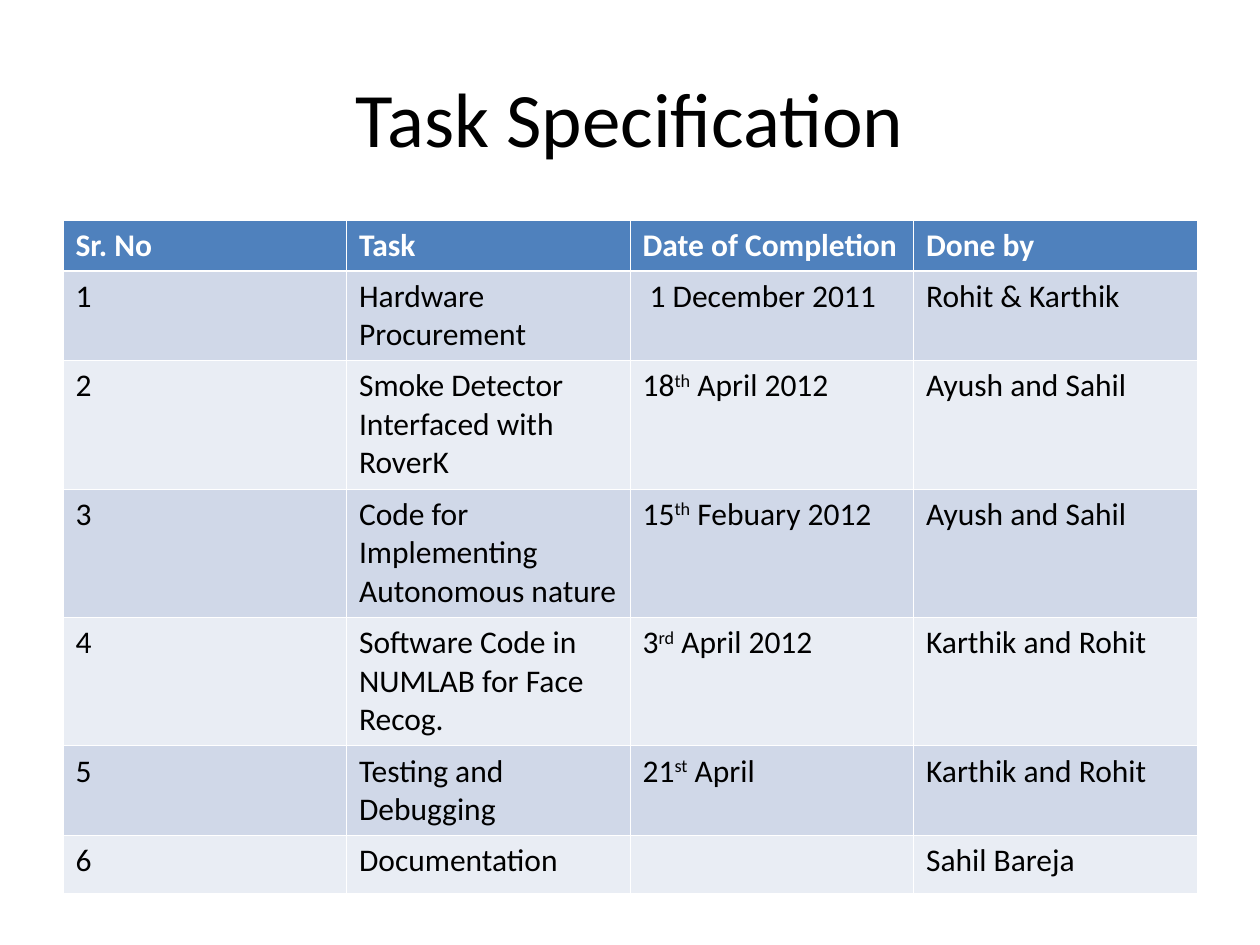
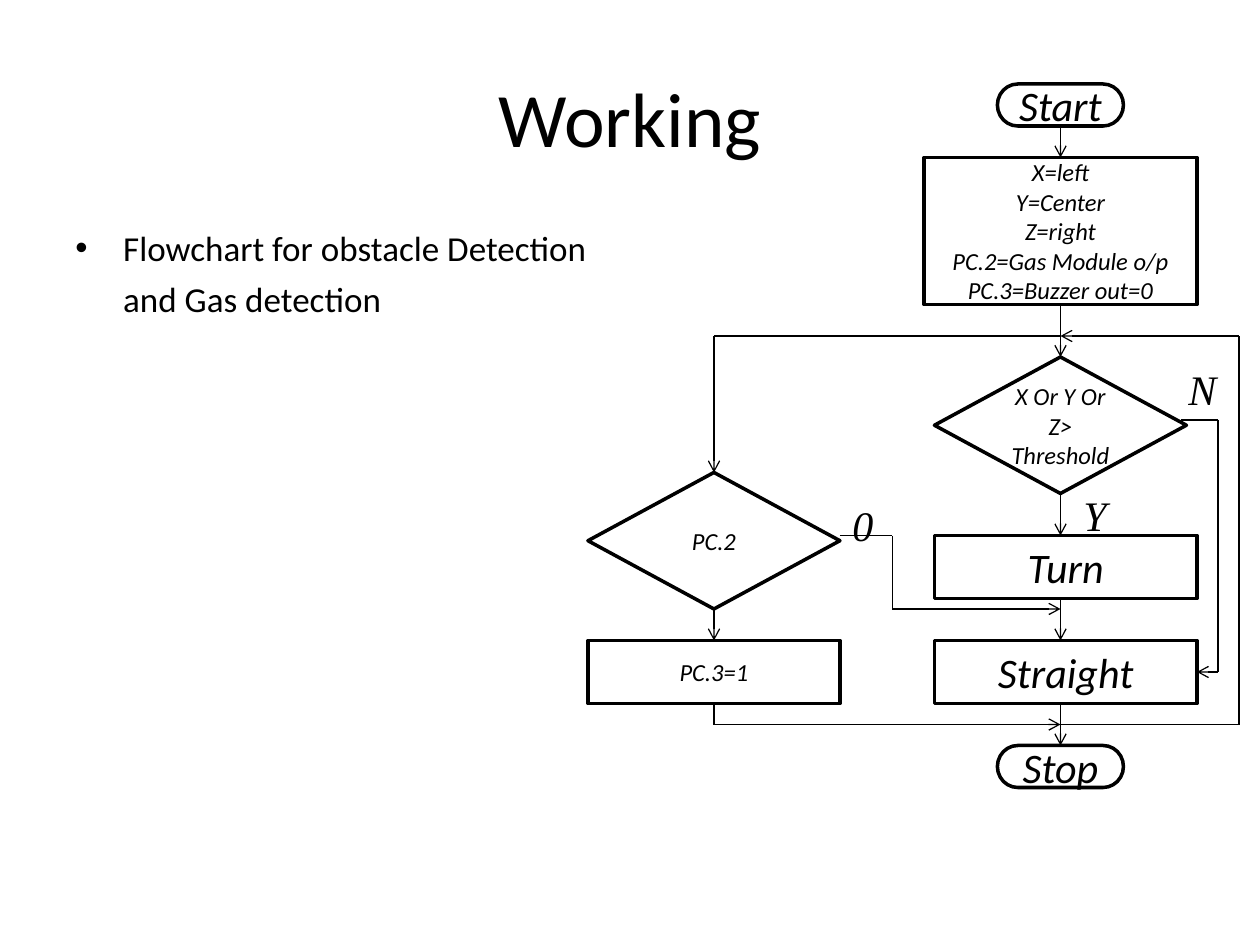
import pptx
import pptx.util
import pptx.dml.color
import pptx.enum.shapes
import pptx.enum.text
import pptx.oxml
import pptx.oxml.ns

RGB = pptx.dml.color.RGBColor
SHAPE = pptx.enum.shapes.MSO_SHAPE
ALIGN = pptx.enum.text.PP_ALIGN
ANCHOR = pptx.enum.text.MSO_ANCHOR
Inches, Pt = pptx.util.Inches, pptx.util.Pt

BLACK = RGB(0x00, 0x00, 0x00)
WHITE = RGB(0xFF, 0xFF, 0xFF)
BLUE = RGB(0x4F, 0x81, 0xBD)
BANDS = RGB(0xE9, 0xED, 0xF4), RGB(0xD0, 0xD8, 0xE8)
SANS, SERIF = "Calibri", "Times New Roman"

WIDE, HIGH = 10, 7.5
EDGE = 0.05 * WIDE
SPAN = WIDE - 2 * EDGE
BODY = 1.75
UNIT = 1 / 12  # flowchart grid step in inches

# Text between ^ marks is raised
TASKS = [
    ("Sr. No", "Task", "Date of Completion", "Done by"),
    ("1", "Hardware Procurement", " 1 December 2011", "Rohit & Karthik"),
    ("2", "Smoke Detector Interfaced with RoverK", "18^th^ April 2012", "Ayush and Sahil"),
    ("3", "Code for Implementing Autonomous nature", "15^th^ Febuary 2012", "Ayush and Sahil"),
    ("4", "Software Code in NUMLAB for Face Recog.", "3^rd^ April 2012", "Karthik and Rohit"),
    ("5", "Testing and Debugging", "21^st^ April", "Karthik and Rohit"),
    ("6", "Documentation", "", "Sahil Bareja"),
]
ROWS = [0.4, 0.71, 1.02, 1.02, 1.02, 0.71, 0.46]

POINTS = ["Flowchart for obstacle Detection", "and Gas detection"]

END, BOX, TEST = (SHAPE.FLOWCHART_TERMINATOR, SHAPE.RECTANGLE,
                  SHAPE.FLOWCHART_DECISION)

# Kind, (left, top, width, height) in grid steps, text size, lines
STEPS = [
    (END, (95, 8, 12, 4), 24, ["Start"]),
    (BOX, (88, 15, 26, 14), 14, ["X=left", "Y=Center", "Z=right",
                                 "PC.2=Gas Module o/p", "PC.3=Buzzer out=0"]),
    (TEST, (89, 34, 24, 13), 14, ["X Or Y Or", "Z> Threshold"]),
    (BOX, (89, 51, 25, 6), 24, ["Turn"]),
    (BOX, (89, 61, 25, 6), 24, ["Straight"]),
    (END, (95, 71, 12, 4), 24, ["Stop"]),
    (TEST, (56, 45, 24, 13), 14, ["PC.2"]),
    (BOX, (56, 61, 24, 6), 14, ["PC.3=1"]),
]

# Corner points in grid steps; each route ends in an arrowhead
MAIN, GAS, SKIP, LOOP, BYPASS = 101, 68, 116, 118, 85
ROUTES = [
    [(MAIN, 12), (MAIN, 15)],
    [(MAIN, 29), (MAIN, 34)],
    [(MAIN, 47), (MAIN, 51)],
    [(MAIN, 57), (MAIN, 61)],
    [(MAIN, 67), (MAIN, 71)],
    [(GAS, 58), (GAS, 61)],
    [(112.5, 40), (SKIP, 40), (SKIP, 64), (114, 64)],
    [(MAIN, 69), (LOOP, 69), (LOOP, 32), (MAIN, 32)],
    [(MAIN, 32), (GAS, 32), (GAS, 45)],
    [(80, 51), (BYPASS, 51), (BYPASS, 58), (MAIN, 58)],
    [(GAS, 67), (GAS, 69), (MAIN, 69)],
]
LABELS = [("Y", 102, 46), ("N", 112, 34), ("0", 80, 47)]


def steps(*nums):
    return [Inches(n * UNIT) for n in nums]


def put(frame, lines, size=18, font=SANS, color=BLACK, bold=False,
        italic=False, align=ALIGN.LEFT, anchor=ANCHOR.TOP, wrap=True):
    """Fill a text frame, one paragraph per line; return the paragraphs."""
    frame.word_wrap = wrap
    frame.vertical_anchor = anchor
    for i, line in enumerate(lines):
        para = frame.add_paragraph() if i else frame.paragraphs[0]
        para.alignment = align
        for j, part in enumerate(line.split("^")):
            run = para.add_run()
            run.text = part
            face = run.font
            face.name, face.size = font, Pt(size)
            face.bold, face.italic = bold, italic
            face.color.rgb = color
            if j % 2:
                run._r.get_or_add_rPr().set("baseline", "30000")
    return frame.paragraphs


def add_text(slide, area, lines, **form):
    box = slide.shapes.add_textbox(*area)
    return put(box.text_frame, lines, **form)


def add_page(deck, title):
    slide = deck.slides.add_slide(deck.slide_layouts[6])
    area = [Inches(n) for n in (EDGE, 0.3, SPAN, 1.25)]
    add_text(slide, area, [title], size=44, align=ALIGN.CENTER,
             anchor=ANCHOR.MIDDLE)
    return slide


def edge(cell, row):
    """Rule a cell in white, thicker between the header and the body."""
    props = cell._tc.get_or_add_tcPr()
    heavy = {0: "B", 1: "T"}.get(row)
    for i, side in enumerate("LRTB"):
        width = Pt(1.47 if side == heavy else 0.45)
        props.insert(i, pptx.oxml.parse_xml(
            f'<a:ln{side} {pptx.oxml.ns.nsdecls("a")} w="{int(width)}"><a:solidFill>'
            f'<a:srgbClr val="{WHITE}"/></a:solidFill></a:ln{side}>'))


def add_tasks(slide):
    cols = len(TASKS[0])
    area = [Inches(n) for n in (EDGE, BODY, SPAN, sum(ROWS))]
    table = slide.shapes.add_table(len(TASKS), cols, *area).table
    table.first_row = table.horz_banding = False
    for col in table.columns:
        col.width = Inches(SPAN / cols)
    for r, texts in enumerate(TASKS):
        table.rows[r].height = Inches(ROWS[r])
        head = r == 0
        for c, text in enumerate(texts):
            cell = table.cell(r, c)
            cell.fill.solid()
            cell.fill.fore_color.rgb = BLUE if head else BANDS[r % 2]
            edge(cell, r)
            put(cell.text_frame, [text], bold=head,
                color=WHITE if head else BLACK)


def add_points(slide):
    area = [Inches(n) for n in (EDGE, BODY, SPAN, 4.95)]
    paras = add_text(slide, area, POINTS, size=20)
    hang = int(Inches(0.38))
    names = pptx.oxml.ns.nsdecls("a")
    for i, para in enumerate(paras):
        props = para._p.get_or_add_pPr()
        props.set("marL", str(hang))
        props.set("indent", str(0 if i else -hang))
        if i:
            para.space_before = Pt(5)
        else:
            for mark in ('buFont {} typeface="Arial"', 'buChar {} char="•"'):
                props.append(pptx.oxml.parse_xml(f"<a:{mark.format(names)}/>"))


def add_step(slide, kind, area, size, lines):
    shape = slide.shapes.add_shape(kind, *steps(*area))
    shape.shadow.inherit = False
    shape.fill.solid()
    shape.fill.fore_color.rgb = WHITE
    shape.line.color.rgb = BLACK
    shape.line.width = Pt(2)
    put(shape.text_frame, lines, size=size, italic=True,
        align=ALIGN.CENTER, anchor=ANCHOR.MIDDLE)
    return shape


def add_line(slide, start, stop, sites, arrow):
    """Draw one segment, joined to a step where it meets a side's middle."""
    line = slide.shapes.add_connector(
        pptx.enum.shapes.MSO_CONNECTOR.STRAIGHT, *steps(*start, *stop))
    line.line.color.rgb = BLACK
    line.line.width = Pt(0.75)
    names = pptx.oxml.ns.nsdecls("a")
    if arrow:
        line.line._get_or_add_ln().append(
            pptx.oxml.parse_xml(f'<a:tailEnd {names} type="arrow"/>'))
    line._element.spPr.append(pptx.oxml.parse_xml(f"<a:effectLst {names}/>"))
    if start in sites:
        line.begin_connect(*sites[start])
    if stop in sites:
        line.end_connect(*sites[stop])


def add_flow(slide):
    sites = {}
    for kind, area, size, lines in STEPS:
        shape = add_step(slide, kind, area, size, lines)
        x, y, w, h = area
        mids = [(x + w / 2, y), (x, y + h / 2),
                (x + w / 2, y + h), (x + w, y + h / 2)]
        sites.update({mid: (shape, i) for i, mid in enumerate(mids)})
    for route in ROUTES:
        last = len(route) - 2
        for i, (start, stop) in enumerate(zip(route, route[1:])):
            add_line(slide, start, stop, sites, i == last)
    for text, x, y in LABELS:
        add_text(slide, steps(x, y, 3, 6), [text], size=24, font=SERIF,
                 italic=True, wrap=False)


def main():
    deck = pptx.Presentation()
    deck.slide_width, deck.slide_height = Inches(WIDE), Inches(HIGH)
    add_tasks(add_page(deck, "Task Specification"))
    work = add_page(deck, "Working")
    add_points(work)
    add_flow(work)
    deck.save("out.pptx")


if __name__ == "__main__":
    main()
